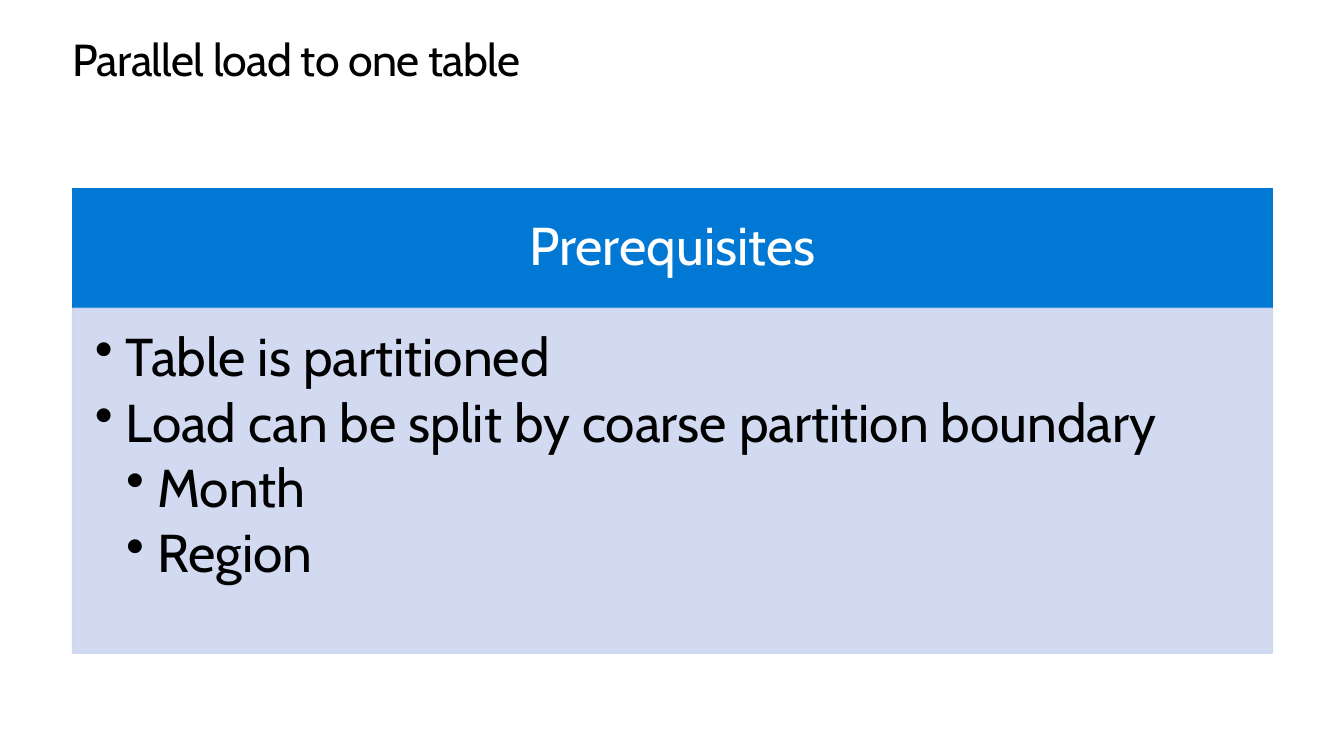
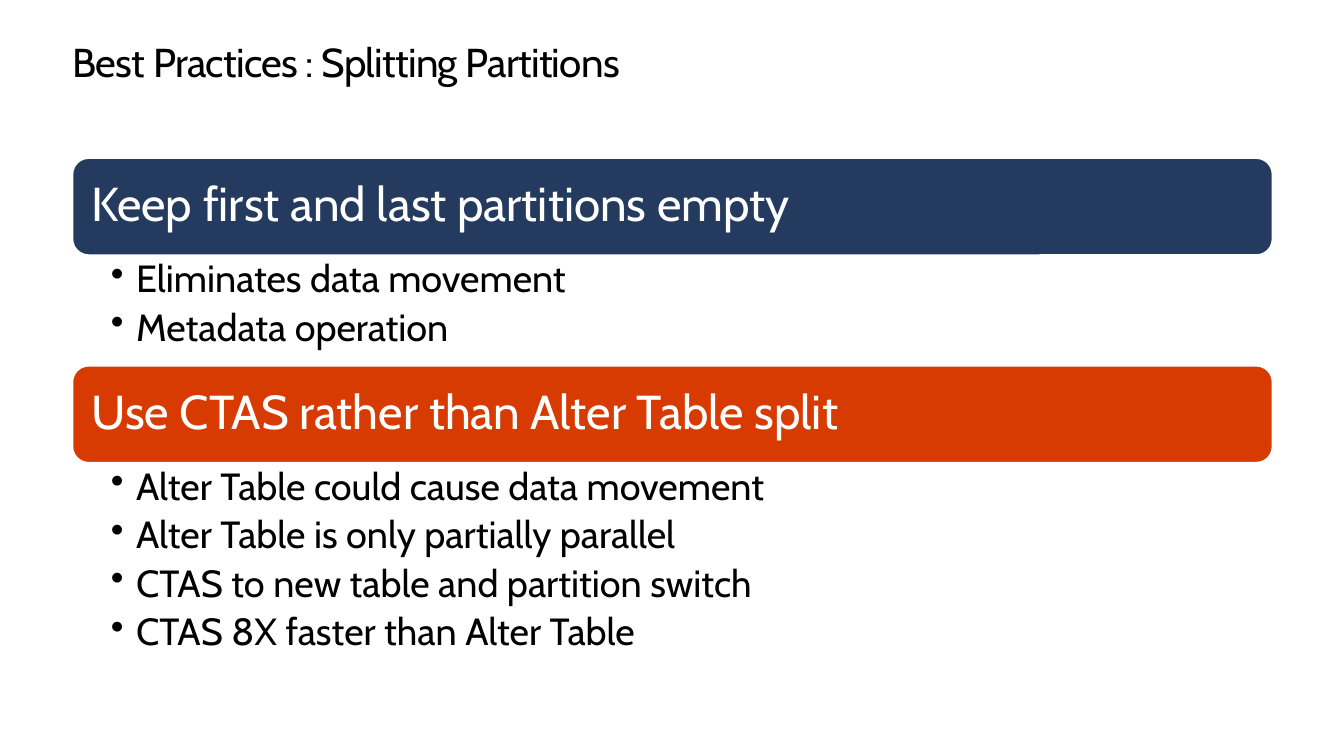
from dataclasses import dataclass

from lxml.etree import SubElement
from pptx import Presentation
from pptx.dml.color import RGBColor
from pptx.enum.shapes import MSO_SHAPE as Shape
from pptx.enum.text import MSO_ANCHOR as Anchor, MSO_AUTO_SIZE as AutoSize, PP_ALIGN as Align
from pptx.oxml.ns import qn
from pptx.util import Pt

EMU_PER_PX = 9144  # 100 px to the inch
LEFT, WIDTH = 72, 1190


@dataclass(frozen=True)
class Theme:
    font: str = "Cabin"
    black: str = "000000"
    white: str = "FFFFFF"
    blue: str = "0078D4"
    pale_blue: str = "CCD6EF"
    navy: str = "243A5E"
    orange: str = "D83B01"
    title_leading: float = 36.2
    title_tracking: float = -0.5
    panel_size: float = 38
    bar_size: float = 34
    list_size: float = 27
    line_spacing: float = 0.9
    heading_gap: int = 35
    panel_opacity: int = 90


THEME = Theme()


def px(value):
    return value * EMU_PER_PX


def set_attributes(target, values):
    for name, value in values.items():
        setattr(target, name, value)


def place(box, top, height):
    set_attributes(box, dict(left=px(LEFT), top=px(top), width=px(WIDTH), height=px(height)))


def format_frame(frame, insets=(0, 0, 0, 0), anchor=Anchor.TOP):
    """Insets are left, top, right, bottom in px."""
    sides = ("margin_left", "margin_top", "margin_right", "margin_bottom")
    set_attributes(frame, dict(zip(sides, map(px, insets))))
    set_attributes(frame, dict(word_wrap=True, auto_size=AutoSize.NONE, vertical_anchor=anchor))


def write(para, text, size, color, align=Align.LEFT):
    para.alignment = align
    span = para.add_run()
    span.text = text
    set_attributes(span.font, dict(name=THEME.font, size=Pt(size), bold=False))
    span.font.color.rgb = RGBColor.from_string(color)
    return span


def space_lines(para, gap):
    """Gap after the paragraph is a percentage of the line."""
    para.line_spacing = THEME.line_spacing
    after = SubElement(para._p.get_or_add_pPr(), qn("a:spcAft"))
    SubElement(after, qn("a:spcPct")).set("val", str(gap * 1000))


def add_page(deck, title, size):
    page = deck.slides.add_slide(deck.slide_layouts[5])
    box = page.shapes.title
    place(box, 35, 50)
    format_frame(box.text_frame)
    para = box.text_frame.paragraphs[0]
    para.line_spacing = Pt(THEME.title_leading)
    span = write(para, title, size, THEME.black)
    span.font._element.set("spc", str(round(THEME.title_tracking * 100)))
    return page


def add_block(page, kind, top, height, fill, line, opacity=100):
    box = page.shapes.add_shape(kind, px(LEFT), px(top), px(WIDTH), px(height))
    box.shadow.inherit = False
    box.line.width = Pt(1)
    box.fill.solid()
    for paint, color in ((box.fill, fill), (box.line.fill, line)):
        paint.solid()
        paint.fore_color.rgb = RGBColor.from_string(color)
    if opacity < 100:
        for color in box._element.spPr.iter(qn("a:srgbClr")):
            SubElement(color, qn("a:alpha")).set("val", str(opacity * 1000))
    return box


def write_heading(box, text, size, insets, align=Align.LEFT):
    format_frame(box.text_frame, insets, Anchor.MIDDLE)
    para = box.text_frame.paragraphs[0]
    write(para, text, size, THEME.white, align)
    space_lines(para, THEME.heading_gap)


def write_bullets(box, items, size, indent, gap, insets):
    """Items are (level, text) pairs, the first level being 1."""
    frame = box.text_frame
    format_frame(frame, insets)
    for index, (level, text) in enumerate(items):
        para = frame.add_paragraph() if index else frame.paragraphs[0]
        write(para, text, size, THEME.black)
        para.level = level
        space_lines(para, gap)
        properties = para._p.get_or_add_pPr()
        properties.set("marL", str(px(indent * level)))
        properties.set("indent", str(px(-indent)))
        SubElement(properties, qn("a:buChar")).set("char", "•")


def add_panel(page, top, heading, items):
    head_height, body_height = 119, 342
    head = add_block(page, Shape.RECTANGLE, top, head_height, THEME.blue, THEME.blue)
    write_heading(head, heading, THEME.panel_size, (30, 17, 30, 17), Align.CENTER)
    body = add_block(page, Shape.RECTANGLE, top + head_height, body_height,
                     THEME.pale_blue, THEME.pale_blue, THEME.panel_opacity)
    write_bullets(body, items, THEME.panel_size, 31, 15, (22, 22, 30, 33))


def add_section(page, top, color, heading, items, list_height):
    """Draws a bar with a list below it and returns where the list ends."""
    bar_height = 96
    bar = add_block(page, Shape.ROUNDED_RECTANGLE, top, bar_height, color, THEME.white)
    write_heading(bar, heading, THEME.bar_size, (14, 14, 14, 14))
    list_top = top + bar_height
    box = page.shapes.add_textbox(px(LEFT), px(list_top), px(WIDTH), px(list_height))
    write_bullets(box, [(1, text) for text in items], THEME.list_size, 25, 20, (38, 5, 26, 5))
    return list_top + list_height


def main():
    deck = Presentation()
    set_attributes(deck, dict(slide_width=px(1333), slide_height=px(750)))

    page = add_page(deck, "Parallel load to one table", 32)
    add_panel(page, 187, "Prerequisites", [
        (1, "Table is partitioned"),
        (1, "Load can be split by coarse partition boundary"),
        (2, "Month"),
        (2, "Region"),
    ])

    page = add_page(deck, "Best Practices : Splitting Partitions", 28.8)
    sections = [
        (THEME.navy, "Keep first and last partitions empty",
         ["Eliminates data movement", "Metadata operation"], 110),
        (THEME.orange, "Use CTAS rather than Alter Table split",
         ["Alter Table could cause data movement",
          "Alter Table is only partially parallel",
          "CTAS to new table and partition switch",
          "CTAS 8X faster than Alter Table"], 219),
    ]
    top = 157
    for section in sections:
        top = add_section(page, top, *section)

    deck.save("out.pptx")


if __name__ == "__main__":
    main()
